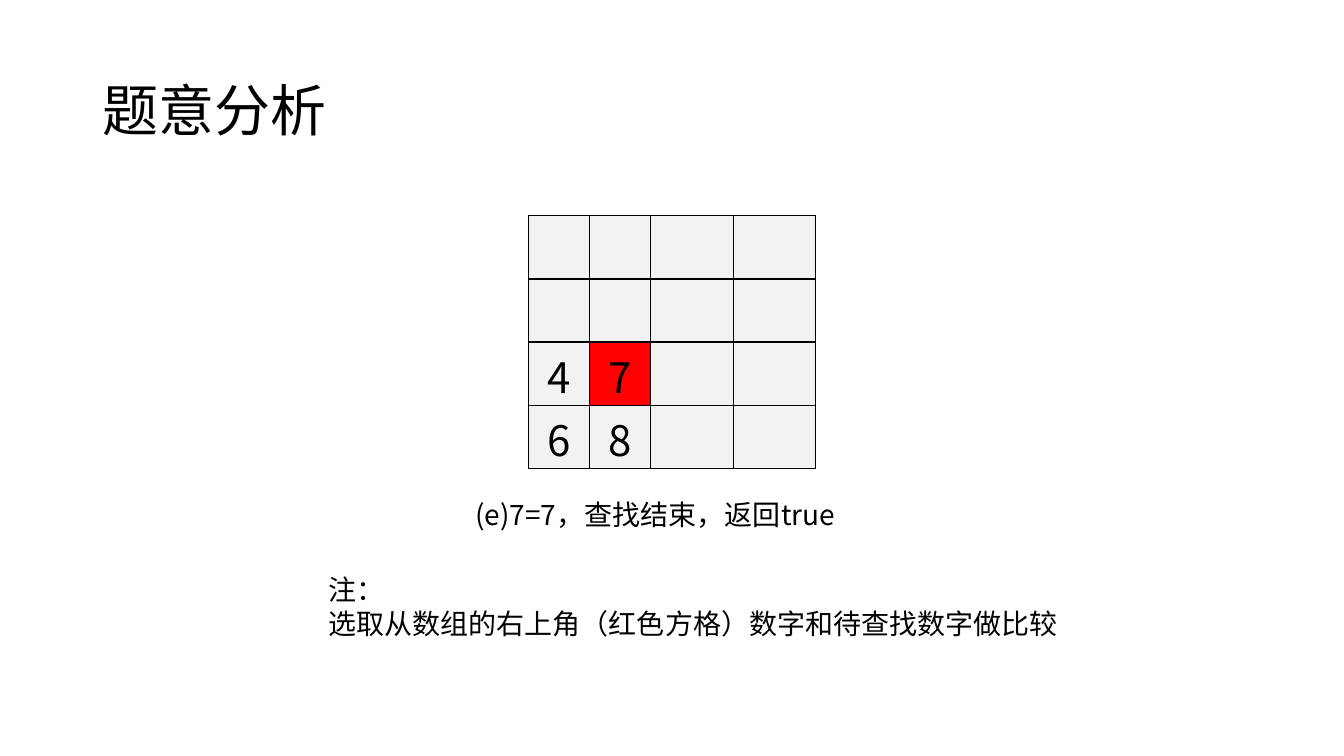
from pptx import Presentation
from pptx.dml.color import RGBColor
from pptx.enum.text import MSO_ANCHOR as Anchor, MSO_AUTO_SIZE as Fit, PP_ALIGN as Align
from pptx.oxml import parse_xml
from pptx.oxml.ns import nsdecls
from pptx.util import Cm, Pt

FONT = "Noto Sans CJK SC"
INK, GREY, RED = "000000", "F2F2F2", "FF0000"
GRID = [
    ["", "", "", ""],
    ["", "", "", ""],
    ["4", "7", "", ""],
    ["6", "8", "", ""],
]
TARGET = "7"


def color(code):
    return RGBColor.from_string(code)


class Page:
    def __init__(self, deck):
        self.slide = deck.slides.add_slide(deck.slide_layouts[5])

    def style(self, frame, size):
        for para in frame.paragraphs:
            for run in para.runs:
                run.font.size = Pt(size)
                run.font.color.rgb = color(INK)
                run.font.name = FONT
                east = f'<a:ea {nsdecls("a")} typeface="{FONT}"/>'
                run.font._element.append(parse_xml(east))

    def place(self, shape, left, top, width, height):
        shape.left, shape.top = Cm(left), Cm(top)
        shape.width, shape.height = Cm(width), Cm(height)

    def title(self, text, *box):
        shape = self.slide.shapes.title
        self.place(shape, *box)
        frame = shape.text_frame
        frame.text = text
        frame.vertical_anchor = Anchor.MIDDLE
        para = frame.paragraphs[0]
        para.alignment = Align.LEFT
        para.line_spacing = 0.9
        self.style(frame, 40)

    def label(self, text, *box):
        shape = self.slide.shapes.add_textbox(*map(Cm, box))
        frame = shape.text_frame
        frame.word_wrap = True
        frame.auto_size = Fit.SHAPE_TO_FIT_TEXT
        frame.text = text
        self.style(frame, 20)

    def border(self, cell):
        """Draw a thin line on all four sides of a cell."""
        props = cell._tc.get_or_add_tcPr()
        for side in "LRTB":
            props.append(parse_xml(
                f'<a:ln{side} {nsdecls("a")} w="12700"><a:solidFill>'
                f'<a:srgbClr val="{INK}"/></a:solidFill></a:ln{side}>'))

    def table(self, grid, left, top, widths, height):
        box = left, top, sum(widths), height * len(grid)
        table = self.slide.shapes.add_table(
            len(grid), len(widths), *map(Cm, box)).table
        table.first_row = table.horz_banding = False
        for col, width in zip(table.columns, widths):
            col.width = Cm(width)
        for row, values in zip(table.rows, grid):
            row.height = Cm(height)
            for cell, value in zip(row.cells, values):
                self.cell(cell, value)

    def cell(self, cell, value):
        self.border(cell)
        cell.fill.solid()
        cell.fill.fore_color.rgb = color(RED if value == TARGET else GREY)
        if value:
            cell.margin_left = cell.margin_right = cell.margin_top = Cm(0.05)
            cell.margin_bottom = 0
            cell.vertical_anchor = Anchor.BOTTOM
            cell.text_frame.text = value
            cell.text_frame.paragraphs[0].alignment = Align.CENTER
            self.style(cell.text_frame, 30)


def main():
    deck = Presentation()
    deck.slide_width, deck.slide_height = Cm(33.87), Cm(19.05)
    page = Page(deck)
    page.title("题意分析", 2.33, 1.01, 29.21, 3.68)
    page.table(GRID, 13.32, 5.44, [1.54, 1.54, 2.08, 2.08], 1.59)
    page.label("(e)7=7，查找结束，返回true", 11.73, 12.4, 10.41, 1.11)
    page.label("注：\n选取从数组的右上角（红色方格）数字和待查找数字做比较",
               8.03, 14.3, 19.76, 1.96)
    deck.save("out.pptx")


if __name__ == "__main__":
    main()
